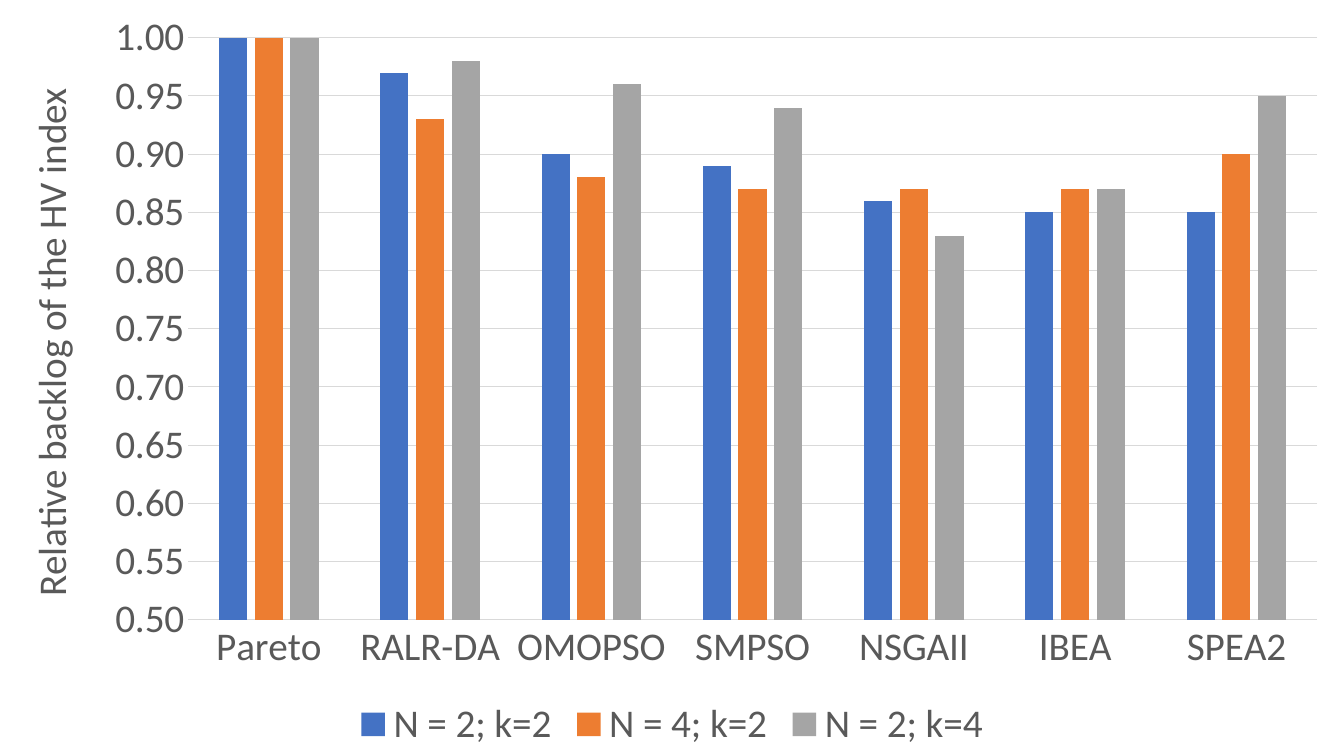
"""Build a slide with a clustered column chart of the relative HV index."""
from lxml import etree
from pptx import Presentation
from pptx.chart.data import CategoryChartData as ChartData
from pptx.dml.color import RGBColor
from pptx.enum.chart import XL_CHART_TYPE as ChartType
from pptx.enum.chart import XL_LEGEND_POSITION as LegendPosition
from pptx.enum.chart import XL_TICK_MARK as TickMark
from pptx.oxml.ns import qn
from pptx.util import Inches, Pt

WIDTH, HEIGHT = Inches(13.33), Inches(7.5)
AXIS_TITLE = "Relative backlog of the HV index"
ALGORITHMS = ["Pareto", "RALR-DA", "OMOPSO", "SMPSO", "NSGAII", "IBEA", "SPEA2"]
SERIES = [
    ("N = 2; k=2", "4472C4", [1, 0.97, 0.9, 0.89, 0.86, 0.85, 0.85]),
    ("N = 4; k=2", "ED7D31", [1, 0.93, 0.88, 0.87, 0.87, 0.87, 0.9]),
    ("N = 2; k=4", "A5A5A5", [1, 0.98, 0.96, 0.94, 0.83, 0.87, 0.95]),
]
TEXT, RULE = "595959", "D9D9D9"
PLOT_AREA = {"x": 0.14, "y": 0.05, "w": 0.84, "h": 0.77}


def paint(color, value):
    color.rgb = RGBColor.from_string(value)


def style_font(font):
    font.name, font.size, font.bold = "Calibri", Pt(28), False
    paint(font.color, TEXT)


def style_line(line):
    line.width = Pt(0.75)
    paint(line.color, RULE)


def place_plot(chart):
    plot_area = chart.plots[0]._element.getparent()
    for old in plot_area.findall(qn("c:layout")):
        plot_area.remove(old)
    layout = etree.Element(qn("c:layout"))
    manual = etree.SubElement(layout, qn("c:manualLayout"))
    settings = {"layoutTarget": "inner", "xMode": "edge", "yMode": "edge", **PLOT_AREA}
    for name, value in settings.items():
        etree.SubElement(manual, qn(f"c:{name}")).set("val", str(value))
    plot_area.insert(0, layout)


deck = Presentation()
deck.slide_width, deck.slide_height = WIDTH, HEIGHT
page = deck.slides.add_slide(deck.slide_layouts[6])

data = ChartData(number_format="0.00")
data.categories = ALGORITHMS
for name, _, values in SERIES:
    data.add_series(name, values)
chart = page.shapes.add_chart(
    ChartType.COLUMN_CLUSTERED, 0, 0, WIDTH, HEIGHT, data).chart
style_font(chart.font)
chart.has_title = False
chart.has_legend = True
chart.legend.position = LegendPosition.BOTTOM
chart.legend.include_in_layout = False
style_font(chart.legend.font)

columns = chart.plots[0]
columns.gap_width, columns.overlap, columns.vary_by_categories = 219, -27, False
for series, (_, color, _) in zip(columns.series, SERIES):
    series.format.fill.solid()
    paint(series.format.fill.fore_color, color)

algorithm_axis, index_axis = chart.category_axis, chart.value_axis
for axis in (algorithm_axis, index_axis):
    axis.major_tick_mark = axis.minor_tick_mark = TickMark.NONE
    style_font(axis.tick_labels.font)
style_line(algorithm_axis.format.line)

index_axis.minimum_scale, index_axis.maximum_scale = 0.5, 1
index_axis.major_unit = 0.05
index_axis.format.line.fill.background()
index_axis.has_major_gridlines = True
style_line(index_axis.major_gridlines.format.line)
index_axis.tick_labels.number_format = "0.00"
index_axis.tick_labels.number_format_is_linked = False
span = index_axis.axis_title.text_frame.paragraphs[0].add_run()
span.text = AXIS_TITLE
style_font(span.font)
place_plot(chart)

deck.save("out.pptx")
